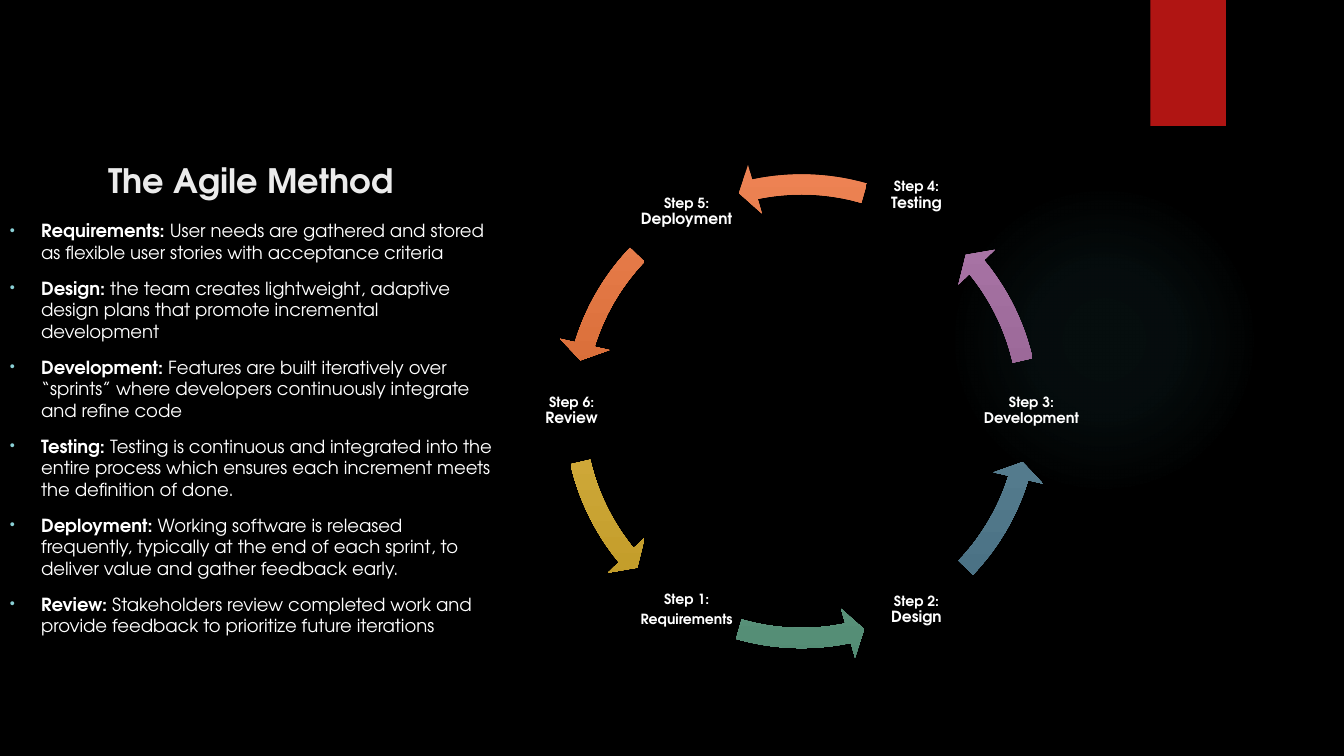
from math import cos, radians, sin

from lxml import etree
from pptx import Presentation
from pptx.dml.color import RGBColor
from pptx.enum.shapes import MSO_SHAPE
from pptx.enum.text import MSO_ANCHOR, PP_ALIGN
from pptx.oxml import parse_xml
from pptx.oxml.ns import nsdecls, qn
from pptx.util import Inches, Pt

FONT = "TeX Gyre Adventor"
BLACK = RGBColor(0x00, 0x00, 0x00)
WHITE = RGBColor(0xFF, 0xFF, 0xFF)
TITLE_GREY = RGBColor(0xEB, 0xEB, 0xEB)
RED = RGBColor(0xB0, 0x15, 0x13)
BULLET_TEAL = RGBColor(0x8A, 0xD0, 0xD6)
GLOW_TEAL = RGBColor(0x50, 0xB9, 0xC1)
GREEN = RGBColor(0x89, 0xBD, 0xA7), RGBColor(0x53, 0x8C, 0x74)
BLUE = RGBColor(0x71, 0x98, 0xAB), RGBColor(0x43, 0x6A, 0x7C)
PURPLE = RGBColor(0xAF, 0x7C, 0xAC), RGBColor(0x7F, 0x4B, 0x7C)
ORANGE = RGBColor(0xEE, 0x84, 0x55), RGBColor(0xBC, 0x4F, 0x0E)
YELLOW = RGBColor(0xEB, 0xC6, 0x5F), RGBColor(0xBB, 0x94, 0x1F)

CENTER_X, CENTER_Y = 7.95, 4.08
RING_RADIUS = 2.28
LABEL_SIZE = 1.02
ARROW_BOX = 5

# Step name, name size, line break inside one paragraph, bottom inset,
# and the colours and head and tail angles of the arrow to the next step
STEPS = [
    ("Requirements", 10, False, 0.01, GREEN, 78.15, 106.02),
    ("Design", 11, True, 0.01, BLUE, 17.12, 43.61),
    ("Development", 10.5, True, 0.01, PURPLE, 320.56, 347.06),
    ("Testing", 11, True, 0.34, ORANGE, 258.15, 286.02),
    ("Deployment", 11, True, 0.01, ORANGE, 197.12, 223.61),
    ("Review", 11, True, 0.01, YELLOW, 140.56, 167.06),
]

DESCRIPTIONS = [
    ("Requirements", "User needs are gathered and stored as flexible user stories with acceptance criteria"),
    ("Design", "the team creates lightweight, adaptive design plans that promote incremental development"),
    ("Development", "Features are built iteratively over “sprints” where developers continuously "
                    "integrate and refine code"),
    ("Testing", "Testing is continuous and integrated into the entire process which ensures each "
                "increment meets the definition of done."),
    ("Deployment", "Working software is released frequently, typically at the end of each sprint, "
                   "to deliver value and gather feedback early."),
    ("Review", "Stakeholders review completed work and provide feedback to prioritize future iterations"),
]


def set_attributes(target, values):
    for name, value in values.items():
        setattr(target, name, value)


def add_run(paragraph, text, size, bold=True, color=WHITE):
    run = paragraph.add_run()
    run.text = text
    set_attributes(run.font, {"name": FONT, "size": Pt(size), "bold": bold})
    run.font.color.rgb = color


def add_plain_shape(slide, kind, left, top, width, height):
    """Add a preset shape with neither line nor shadow."""
    shape = slide.shapes.add_shape(kind, Inches(left), Inches(top), Inches(width), Inches(height))
    shape.shadow.inherit = False
    shape.line.fill.background()
    return shape


def add_glow(slide):
    glow = add_plain_shape(slide, MSO_SHAPE.OVAL, 9.41, 1.83, 3.08, 3.08)
    stops = "".join(
        f'<a:gs pos="{position * 1000}"><a:srgbClr val="{GLOW_TEAL}">'
        f'<a:alpha val="{alpha * 1000}"/></a:srgbClr></a:gs>'
        for position, alpha in ((0, 7), (36, 6), (69, 0))
    )
    gradient = parse_xml(
        f'<a:gradFill {nsdecls("a")}><a:gsLst>{stops}</a:gsLst><a:path path="circle">'
        '<a:fillToRect l="50000" t="50000" r="50000" b="50000"/></a:path></a:gradFill>'
    )
    glow._element.spPr.find(qn("a:prstGeom")).addnext(gradient)


def add_red_tab(slide):
    tab = add_plain_shape(slide, MSO_SHAPE.RECTANGLE, 11.41, 0, 0.75, 1.25)
    tab.fill.solid()
    tab.fill.fore_color.rgb = RED


def format_title(slide):
    title = slide.shapes.title
    set_attributes(title, {"left": Inches(0), "top": Inches(1.58),
                           "width": Inches(4.98), "height": Inches(0.46)})
    title.text_frame.vertical_anchor = MSO_ANCHOR.BOTTOM
    paragraph = title.text_frame.paragraphs[0]
    paragraph.alignment = PP_ALIGN.CENTER
    add_run(paragraph, "The Agile Method", 24, color=TITLE_GREY)


def add_bullet(paragraph):
    properties = paragraph._p.get_or_add_pPr()
    properties.set("marL", str(Inches(0.31)))
    properties.set("indent", str(Inches(-0.31)))
    color = etree.SubElement(properties, qn("a:buClr"))
    etree.SubElement(color, qn("a:srgbClr"), val=str(BULLET_TEAL))
    etree.SubElement(properties, qn("a:buSzPct"), val="80000")
    etree.SubElement(properties, qn("a:buFont"), typeface="Arial")
    etree.SubElement(properties, qn("a:buChar"), char="•")


def add_descriptions(slide):
    box = slide.shapes.add_textbox(Inches(0), Inches(2.13), Inches(4.98), Inches(4.46))
    frame = box.text_frame
    frame.word_wrap = True
    for index, (name, description) in enumerate(DESCRIPTIONS):
        paragraph = frame.add_paragraph() if index else frame.paragraphs[0]
        paragraph.space_before = Pt(10)
        add_bullet(paragraph)
        add_run(paragraph, f"{name}: ", 12.9)
        add_run(paragraph, description, 12.9, bold=False)


def add_step_label(slide, number, name, size, single_paragraph, bottom_inset):
    """Place a label on the ring, with step 3 at the right and 60 degrees per step."""
    angle = radians(60 * (number - 3))
    left = CENTER_X + RING_RADIUS * cos(angle) - LABEL_SIZE / 2
    top = CENTER_Y - RING_RADIUS * sin(angle) - LABEL_SIZE / 2
    box = slide.shapes.add_textbox(Inches(left), Inches(top), Inches(LABEL_SIZE), Inches(LABEL_SIZE))
    frame = box.text_frame
    inset = Inches(0.01)
    set_attributes(frame, {"word_wrap": True, "vertical_anchor": MSO_ANCHOR.MIDDLE,
                           "margin_left": inset, "margin_right": inset,
                           "margin_top": inset, "margin_bottom": Inches(bottom_inset)})
    paragraph = frame.paragraphs[0]
    add_run(paragraph, f"Step {number}:", 10)
    if single_paragraph:
        paragraph.add_line_break()
    else:
        paragraph = frame.add_paragraph()
    add_run(paragraph, name, size)
    for paragraph in frame.paragraphs:
        set_attributes(paragraph, {"alignment": PP_ALIGN.CENTER, "line_spacing": 0.9,
                                   "space_after": Pt(3.5)})


def add_cycle_arrow(slide, colors, head_angle, tail_angle):
    arrow = add_plain_shape(slide, MSO_SHAPE.LEFT_CIRCULAR_ARROW, CENTER_X - ARROW_BOX / 2,
                            CENTER_Y - ARROW_BOX / 2, ARROW_BOX, ARROW_BOX)
    # Angles are stored in 60000ths of a degree, adjustments in 100000ths
    values = (0.04, 2.5, head_angle * 0.6, tail_angle * 0.6, 0.05)
    for index, value in enumerate(values):
        arrow.adjustments[index] = value
    arrow.fill.gradient()
    arrow.fill.gradient_angle = 270
    for stop, color in zip(arrow.fill.gradient_stops, colors):
        stop.color.rgb = color


def main():
    presentation = Presentation()
    presentation.slide_width = Inches(13.33)
    presentation.slide_height = Inches(7.5)
    slide = presentation.slides.add_slide(presentation.slide_layouts[5])
    slide.background.fill.solid()
    slide.background.fill.fore_color.rgb = BLACK
    add_glow(slide)
    add_red_tab(slide)
    format_title(slide)
    for number, (name, size, single_paragraph, inset, colors, head, tail) in enumerate(STEPS, 1):
        add_step_label(slide, number, name, size, single_paragraph, inset)
        add_cycle_arrow(slide, colors, head, tail)
    add_descriptions(slide)
    presentation.save("out.pptx")


if __name__ == "__main__":
    main()
